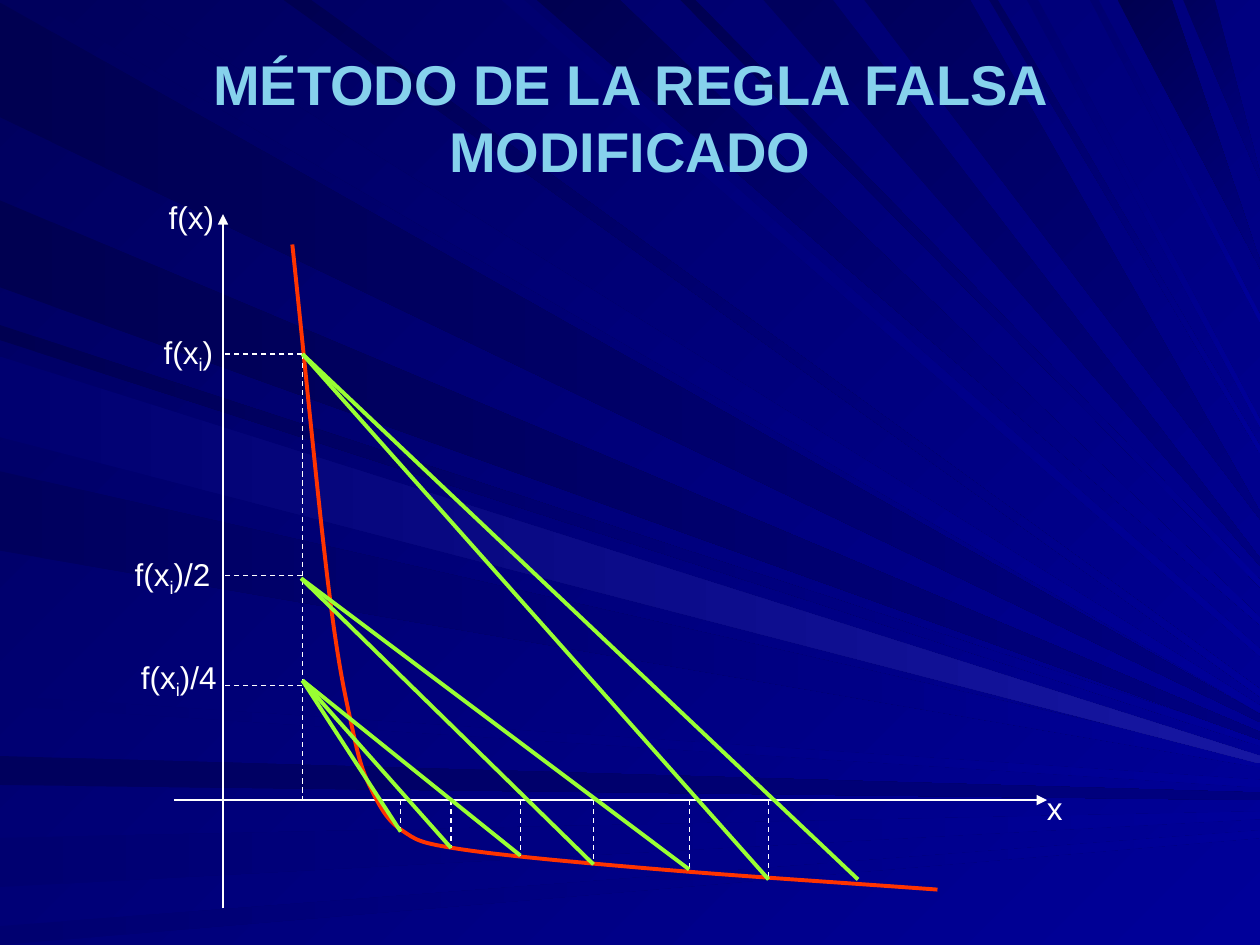
"""Builds a slide on the modified false position method."""
from lxml import etree
from pptx import Presentation
from pptx import util as u
from pptx.dml.color import RGBColor
from pptx.enum import dml, shapes, text
from pptx.oxml.ns import qn

THEME = dict(font="Arial", title_size=32, label_size=18, title="86D1EC", white="FFFFFF",
             chord="99FF33", curve="FF3300", thin=0.75, thick=2.25,
             deep="000051", dark="00005D", soft="000070", mid="000080", light="000099",
             glow="1717A2")

TITLE = "MÉTODO DE LA REGLA FALSA MODIFICADO"
WIDTH, HEIGHT, TIP = 10, 7.5, 0.03
LEFT_RAYS = [(0.02, 0.93, 5.7, "deep", "mid"), (6.0, 6.23, 6.32, "dark", "mid"),
             (6.65, 7.04, 6.47, "soft", "light"), (7.35, 7.5, 6.62, "soft", "light"),
             (2.58, 2.7, 5.89, "deep", "light"), (1.59, 2.28, 5.84, "deep", "mid"),
             (3.74, 4.37, 6.06, "dark", "light"), (5.52, 5.6, 6.22, "soft", "light"),
             (2.83, 3.47, 6.03, "soft", "glow")]
TOP_RAYS = [(0.26, 1.01, 5.63, "dark", "light"), (3.98, 4.16, 5.18, "soft", "light"),
            (4.26, 4.92, 4.93, "deep", "light"), (5.4, 5.52, 4.63, "deep", "light"),
            (6.06, 6.61, 4.46, "dark", "mid"), (8.87, 9.3, 2.1, "deep", "mid"),
            (9.39, 9.64, 1.4, "dark", "mid"), (2.25, 2.47, 5.5, "deep", "light"),
            (6.86, 7.7, 4.09, "dark", "mid"), (7.85, 7.92, 3.57, "dark", "light"),
            (8.15, 8.24, 3.36, "soft", "light"), (8.65, 8.72, 2.53, "soft", "light")]

AXIS_X, AXIS_Y, XI = 1.77, 6.35, 2.4
AXES = [((AXIS_X, 7.21), (AXIS_X, 1.7)), ((1.38, AXIS_Y), (8.31, AXIS_Y))]
CURVE = [(2.32, 1.94), (2.61, 4.68), (2.8, 5.8), (2.95, 6.27), (3.19, 6.59), (3.66, 6.74),
         (5.24, 6.9), (7.44, 7.06)]
LEVELS = [2.81, 4.57, 5.44]
CHORDS = [((XI, 2.81), [(6.81, 6.98), (6.1, 6.98)]),
          ((2.39, 4.59), [(5.47, 6.9), (4.71, 6.86)]),
          ((XI, 5.4), [(4.13, 6.79), (3.58, 6.73), (3.18, 6.6)])]
LABELS = [(("f(x)",), (1.24, 1.52, 0.56, 0.4)), (("x",), (8.21, 6.21, 0.32, 0.4)),
          (("f(x", "i", ")"), (1.2, 2.59, 0.59, 0.44)),
          (("f(x", "i", ")/2"), (0.97, 4.36, 0.8, 0.44)),
          (("f(x", "i", ")/4"), (1.02, 5.17, 0.8, 0.44))]


def rgb(name):
    return RGBColor.from_string(THEME[name])


def inches(values):
    return [u.Inches(v) for v in values]


def paint(fill, colours, angle):
    fill.gradient()
    fill.gradient_angle = (360 - angle) % 360
    for stop, colour in zip(fill.gradient_stops, colours):
        stop.color.rgb = rgb(colour)


def set_font(p, size, colour, bold=False):
    p.font.name, p.font.size, p.font.bold = THEME["font"], u.Pt(THEME[size]), bold
    p.font.color.rgb = rgb(colour)


def outline(sp, colour, width):
    sp.line.color.rgb = rgb(colour)
    sp.line.width = u.Pt(THEME[width])


def add_free(parent, points, close):
    start, *rest = [inches(pt) for pt in points]
    fb = parent.build_freeform(*start)
    fb.add_line_segments(rest, close=close)
    sp = fb.convert_to_shape()
    sp.shadow.inherit = False
    return sp


def add_rays(s):
    group = s.shapes.add_group_shape()
    rays = [((0, a), (0, b), 0, rest) for a, b, *rest in LEFT_RAYS]
    rays += [((b, 0), (a, 0), 45, rest) for a, b, *rest in TOP_RAYS]
    for upper, lower, angle, (tip, *colours) in rays:
        points = [upper, (WIDTH, tip - TIP), (WIDTH, tip + TIP), lower]
        sp = add_free(group.shapes, points, True)
        paint(sp.fill, colours, angle)
        sp.line.fill.background()
    s.shapes._spTree.insert(2, group._element)


def bezier_points(anchors):
    """Returns anchors joined by smooth control points."""
    def mirror(p, q):
        return tuple(2 * a - b for a, b in zip(p, q))

    pts = [mirror(anchors[0], anchors[1]), *anchors, mirror(anchors[-1], anchors[-2])]
    out = [anchors[0]]
    for before, p, q, after in zip(pts, pts[1:], pts[2:], pts[3:]):
        out.append(tuple(b + (c - a) / 6 for a, b, c in zip(before, p, q)))
        out.append(tuple(b - (c - a) / 6 for a, b, c in zip(p, q, after)))
        out.append(q)
    return out


def add_curve(s):
    sp = add_free(s.shapes, bezier_points(CURVE), False)
    sp.fill.background()
    outline(sp, "curve", "thick")
    path = next(sp._element.iter(qn("a:path")))
    lines = path.findall(qn("a:lnTo"))
    for i in range(0, len(lines), 3):
        bezier = etree.SubElement(path, qn("a:cubicBezTo"))
        for line in lines[i:i + 3]:
            bezier.append(line[0])
            path.remove(line)


def add_line(s, start, end, colour="white", width="thin", dashed=False, arrow=False):
    c = s.shapes.add_connector(shapes.MSO_CONNECTOR.STRAIGHT, *inches(start + end))
    outline(c, colour, width)
    if dashed:
        c.line.dash_style = dml.MSO_LINE.DASH
    if arrow:
        etree.SubElement(c.line._get_or_add_ln(), qn("a:tailEnd"), type="triangle")
    etree.SubElement(c._element.spPr, qn("a:effectLst"))


def add_label(s, parts, box):
    tf = s.shapes.add_textbox(*inches(box)).text_frame
    tf.word_wrap = False
    tf.auto_size = text.MSO_AUTO_SIZE.SHAPE_TO_FIT_TEXT
    p = tf.paragraphs[0]
    set_font(p, "label_size", "white")
    for part in parts:
        r = p.add_run()
        r.text = part
        if part == "i":
            r._r.get_or_add_rPr().set("baseline", "-25000")


def main():
    prs = Presentation()
    prs.slide_width, prs.slide_height = inches((WIDTH, HEIGHT))
    s = prs.slides.add_slide(prs.slide_layouts[5])
    paint(s.background.fill, ("dark", "light"), 45)
    add_rays(s)

    title = s.shapes.title
    title.left, title.top, title.width, title.height = inches((0.5, 0.3, 9, 1.25))
    tf = title.text_frame
    tf.text, tf.word_wrap, tf.vertical_anchor = TITLE, True, text.MSO_ANCHOR.MIDDLE
    tf.paragraphs[0].alignment = text.PP_ALIGN.CENTER
    set_font(tf.paragraphs[0], "title_size", "title", True)

    for start, end in AXES:
        add_line(s, start, end, arrow=True)
    add_curve(s)
    for y in LEVELS:
        add_line(s, (XI, y), (AXIS_X, y), dashed=True)
    add_line(s, (XI, LEVELS[0]), (XI, AXIS_Y), dashed=True)
    chords = [(start, end) for start, ends in CHORDS for end in ends]
    for _, (x, y) in chords[1:]:
        add_line(s, (x, AXIS_Y), (x, y), dashed=True)
    for start, end in chords:
        add_line(s, start, end, "chord", "thick")
    for parts, box in LABELS:
        add_label(s, parts, box)
    prs.save("out.pptx")


if __name__ == "__main__":
    main()
